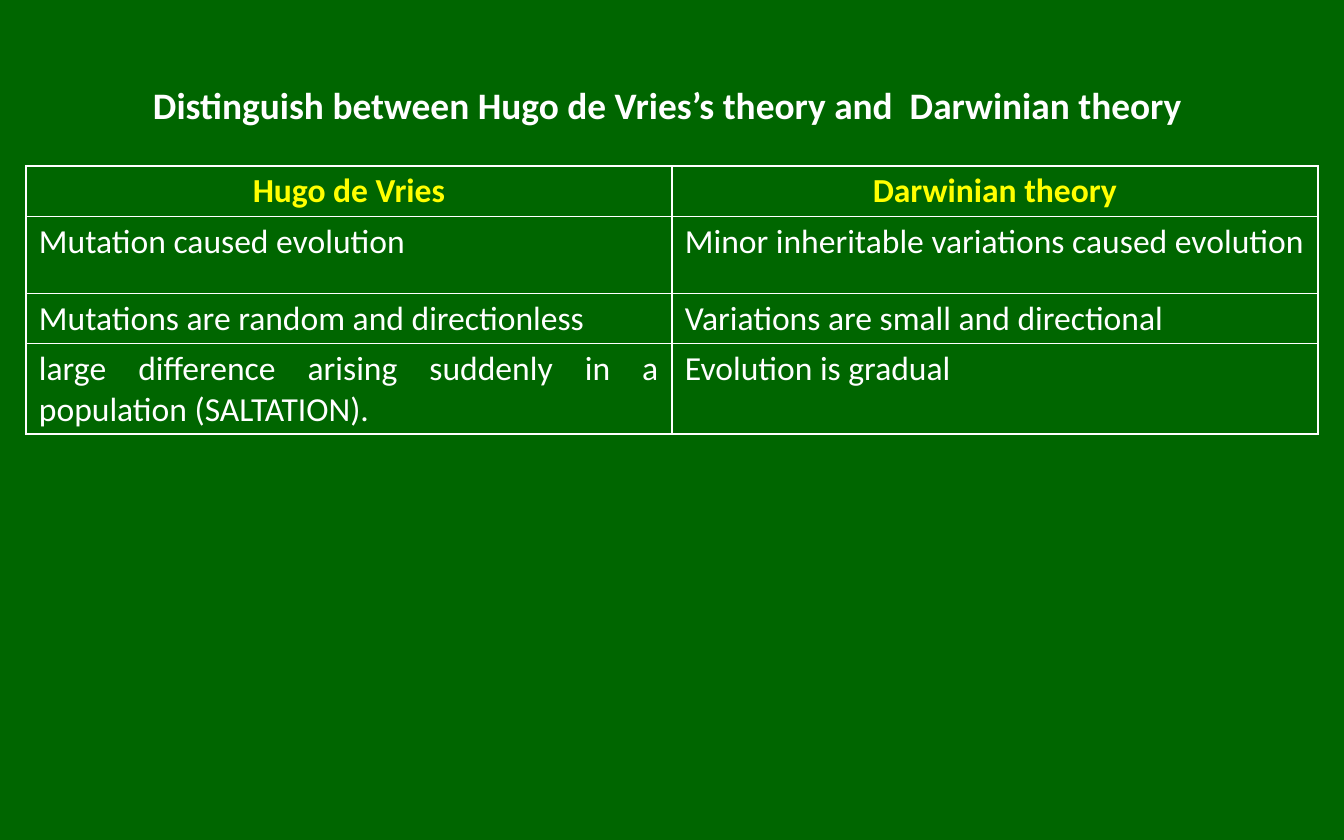
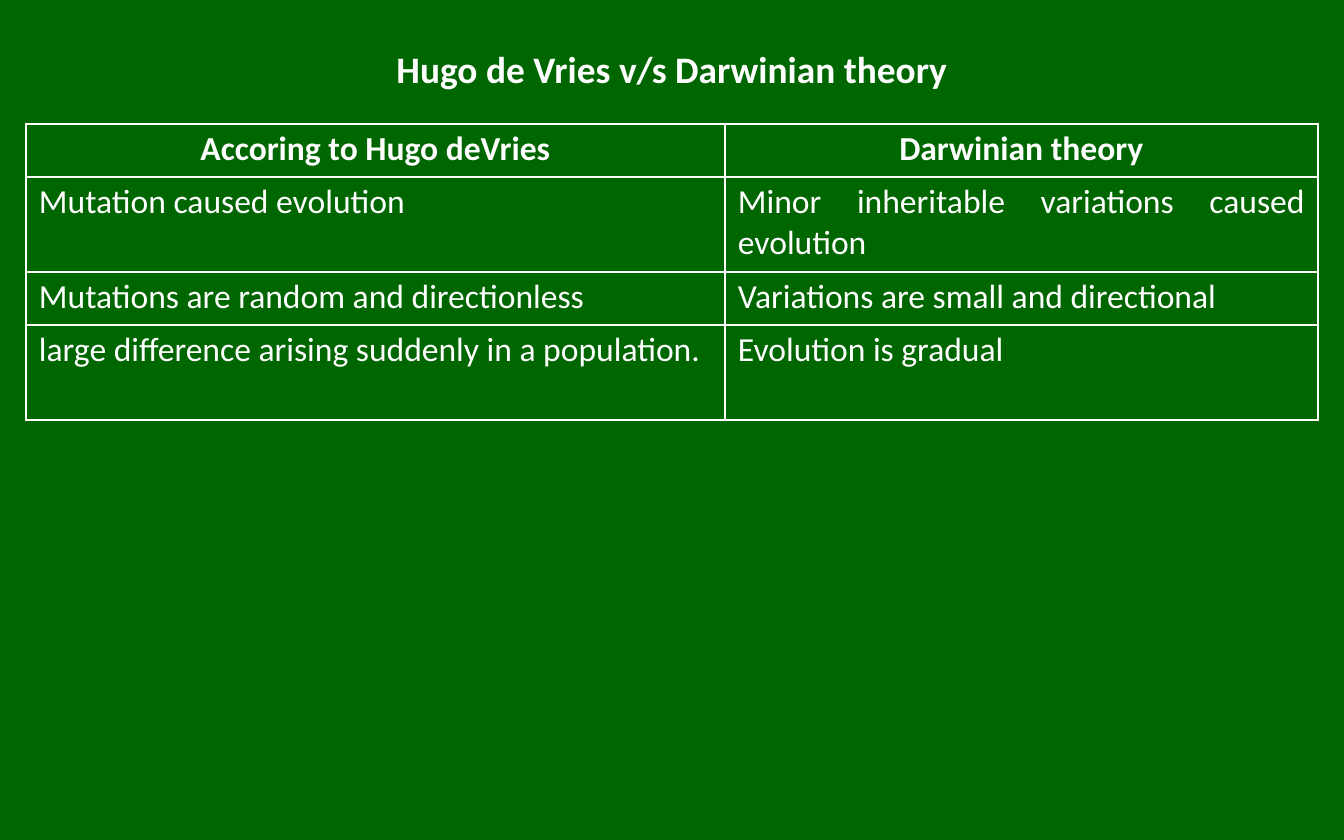
"""Build two slides that compare Hugo de Vries's theory with Darwin's."""
import pptx
import pptx.dml.color
import pptx.enum.text
import pptx.oxml
import pptx.oxml.ns
import pptx.util
from dataclasses import dataclass

ALIGN = pptx.enum.text.PP_ALIGN


@dataclass(frozen=True)
class Theme:
    back: str = "006600"
    text: str = "FFFFFF"
    gold: str = "FFFF00"
    font: str = "Calibri"
    title: int = 20
    body: int = 18
    line: int = 1


THEME = Theme()
WIDE, HIGH = 1344, 840
LEFT, PAD, EDGE = 26, 13, 5

SLIDES = [
    {
        "title": "Distinguish between Hugo de Vries’s theory and  Darwinian theory ",
        "box": (0, 42, 1344, 126),
        "top": 166,
        "tall": 282,
        "head": THEME.gold,
        "cols": (646, 646),
        "rows": (44, 77, 44, 78),
        "cells": [
            ("Hugo de Vries", "Darwinian theory"),
            ("Mutation caused evolution", "Minor inheritable variations caused evolution"),
            ("Mutations are random and directionless", "Variations are small and directional"),
            ("large difference arising suddenly in a population (SALTATION).", "Evolution is gradual"),
        ],
    },
    {
        "title": "Hugo de Vries v/s Darwinian theory",
        "box": (67, 34, 1210, 69),
        "top": 124,
        "tall": 296,
        "head": THEME.text,
        "cols": (699, 593),
        "rows": (53, 95, 53, 95),
        "cells": [
            ("Accoring to Hugo deVries", "Darwinian theory"),
            ("Mutation caused evolution", "Minor inheritable variations caused evolution"),
            ("Mutations are random and directionless", "Variations are small and directional"),
            ("large difference arising suddenly in a population.", "Evolution is gradual"),
        ],
    },
]


def px(num):
    return pptx.util.Emu(round(num * 914400 / 134.4))


def rgb(code):
    return pptx.dml.color.RGBColor.from_string(code)


def write(frame, text, size, color, bold, align):
    para = frame.paragraphs[0]
    para.text = text
    para.alignment = align
    font = para.font
    font.name, font.size, font.bold = THEME.font, pptx.util.Pt(size), bold
    font.color.rgb = rgb(color)


def rule(cell):
    props = cell._tc.get_or_add_tcPr()
    space = pptx.oxml.ns.nsdecls("a")
    width = pptx.util.Pt(THEME.line)
    for side in "LRTB":
        props.append(pptx.oxml.parse_xml(
            f'<a:ln{side} {space} w="{width}"><a:solidFill>'
            f'<a:srgbClr val="{THEME.text}"/></a:solidFill></a:ln{side}>'))
    cell.fill.background()


def add_title(slide, data):
    frame = slide.shapes.add_textbox(*map(px, data["box"])).text_frame
    frame.word_wrap = True
    frame.vertical_anchor = pptx.enum.text.MSO_ANCHOR.MIDDLE
    write(frame, data["title"], THEME.title, THEME.text, True, ALIGN.CENTER)


def add_grid(slide, data):
    cols, rows = data["cols"], data["rows"]
    area = map(px, (LEFT, data["top"], sum(cols), data["tall"]))
    shape = slide.shapes.add_table(len(rows), len(cols), *area)
    table = shape.table
    table.first_row = table.horz_banding = False
    for col, wide in zip(table.columns, cols):
        col.width = px(wide)
    for row, tall in zip(table.rows, rows):
        row.height = px(tall)
    shape.height = px(data["tall"])
    for r, texts in enumerate(data["cells"]):
        head = r == 0
        color = data["head"] if head else THEME.text
        align = ALIGN.CENTER if head else ALIGN.JUSTIFY
        for c, text in enumerate(texts):
            cell = table.cell(r, c)
            cell.margin_left = cell.margin_right = px(PAD)
            cell.margin_top = cell.margin_bottom = px(EDGE)
            rule(cell)
            write(cell.text_frame, text, THEME.body, color, head, align)


def main():
    deck = pptx.Presentation()
    deck.slide_width, deck.slide_height = px(WIDE), px(HIGH)
    for data in SLIDES:
        slide = deck.slides.add_slide(deck.slide_layouts[6])
        fill = slide.background.fill
        fill.solid()
        fill.fore_color.rgb = rgb(THEME.back)
        add_title(slide, data)
        add_grid(slide, data)
    deck.save("out.pptx")


if __name__ == "__main__":
    main()
